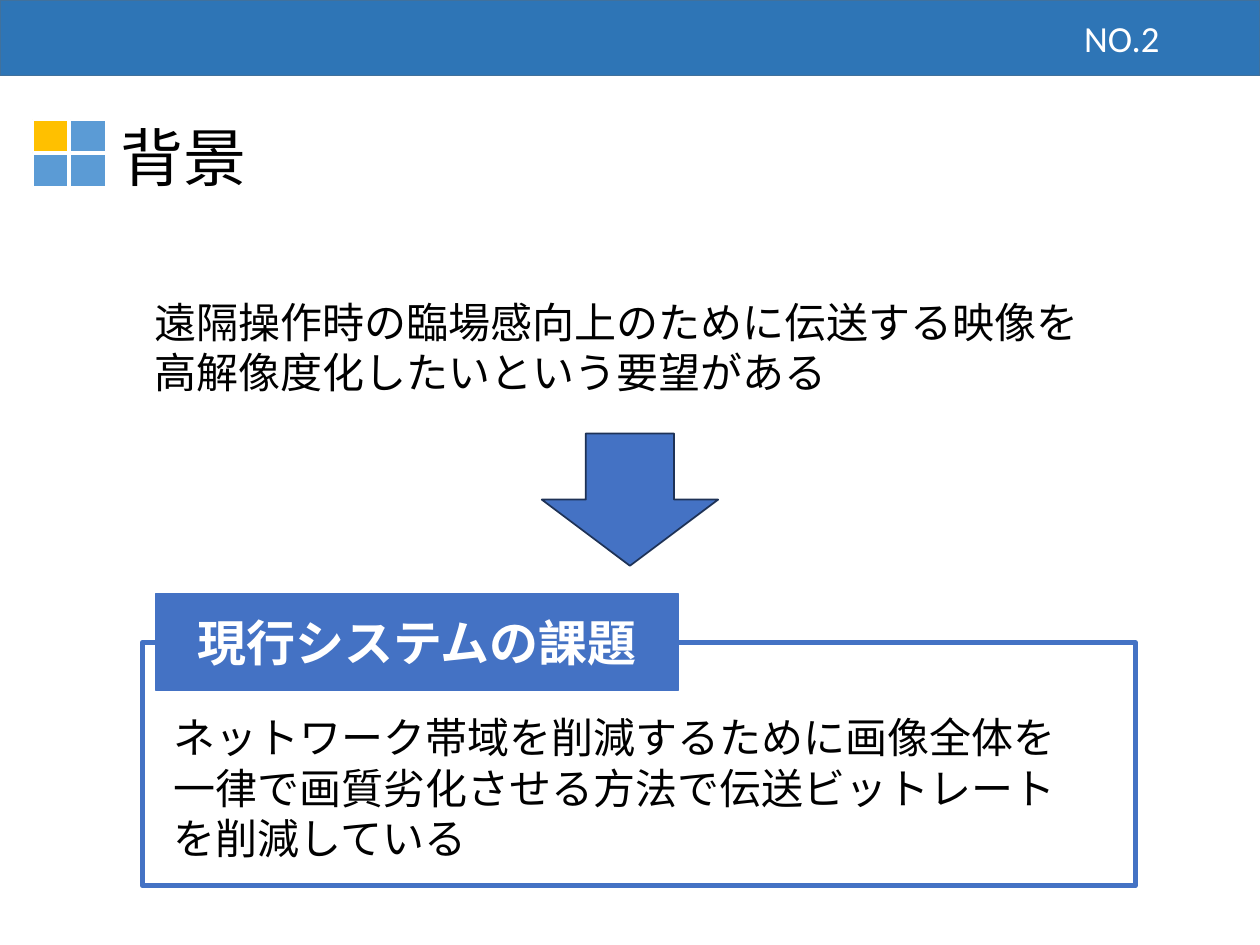
from collections import namedtuple
from dataclasses import dataclass
from pptx import Presentation
from pptx.dml.color import RGBColor as Rgb
from pptx.enum.shapes import MSO_SHAPE as Form
from pptx.enum.text import MSO_ANCHOR as Anchor, PP_ALIGN as Align
from pptx.util import Pt

SCALE = 9144
Box = namedtuple("Box", "x y w h")


@dataclass(frozen=True)
class Theme:
    band: str = "2E75B6"
    edge: str = "41719C"
    gold: str = "FFC000"
    tile: str = "5B9BD5"
    blue: str = "4472C4"
    navy: str = "1E3256"
    white: str = "FFFFFF"
    black: str = "000000"
    latin: str = "Calibri"
    sans: str = "Arial"
    title: int = 36
    label: int = 28
    body: int = 24
    number: int = 21


THEME = Theme()


def place(box, x, y, w, h):
    return Box(box.x + x, box.y + y, w, h)


def emu(box):
    return [side * SCALE for side in box]


def draw(slide, form, box, fill, line, width=1):
    shape = slide.shapes.add_shape(form, *emu(box))
    shape.shadow.inherit = False
    shape.fill.solid()
    shape.fill.fore_color.rgb = Rgb.from_string(fill)
    shape.line.color.rgb = Rgb.from_string(line)
    shape.line.width = Pt(width)
    return shape


def write(shape, text, size, face, color, align=Align.LEFT,
          anchor=Anchor.TOP, bold=False, wrap=True):
    frame = shape.text_frame
    frame.word_wrap = wrap
    frame.vertical_anchor = anchor
    line = frame.paragraphs[0]
    line.text = text
    line.alignment = align
    font = line.font
    font.size, font.name, font.bold = Pt(size), face, bold
    font.color.rgb = Rgb.from_string(color)


def label(slide, box, *args, **style):
    write(slide.shapes.add_textbox(*emu(box)), *args, **style)


def header(slide, box, text):
    draw(slide, Form.RECTANGLE, box, THEME.band, THEME.edge)
    label(slide, place(box, 799, 5, 131, 50), text, THEME.number, THEME.latin,
          THEME.white, align=Align.RIGHT, anchor=Anchor.MIDDLE)


def heading(slide, box, text):
    for row in range(2):
        for col in range(2):
            fill = THEME.tile if row or col else THEME.gold
            tile = place(box, col * 30, 6 + row * 27, 28, 26)
            draw(slide, Form.RECTANGLE, tile, fill, THEME.white)
    label(slide, place(box, 60, 0, box.w - 60, box.h), text, THEME.title,
          THEME.latin, THEME.black, wrap=False)


def demand(slide, box, text):
    label(slide, place(box, 0, 0, box.w, 91), text,
          THEME.body, THEME.sans, THEME.black)
    draw(slide, Form.DOWN_ARROW, place(box, 317, 114, 140, 105),
         THEME.blue, THEME.navy)


def issue(slide, box, name, text):
    draw(slide, Form.RECTANGLE, place(box, 0, 39, box.w, box.h - 39),
         THEME.white, THEME.blue, 3)
    tab = draw(slide, Form.RECTANGLE, place(box, 11, 0, 414, 77),
               THEME.blue, THEME.blue)
    write(tab, name, THEME.label, THEME.sans, THEME.white,
          align=Align.CENTER, anchor=Anchor.MIDDLE, bold=True)
    label(slide, place(box, 15, 89, 731, 131), text,
          THEME.body, THEME.sans, THEME.black)


def main():
    deck = Presentation()
    deck.slide_width, deck.slide_height = 1000 * SCALE, 750 * SCALE
    slide = deck.slides.add_slide(deck.slide_layouts[6])
    header(slide, Box(0, 0, 1000, 60), "NO.2")
    heading(slide, Box(26, 89, 181, 71), "背景")
    demand(slide, Box(113, 230, 773, 219),
           "遠隔操作時の臨場感向上のために伝送する映像を"
           "高解像度化したいという要望がある")
    issue(slide, Box(113, 471, 788, 232), "現行システムの課題",
          "ネットワーク帯域を削減するために画像全体を"
          "一律で画質劣化させる方法で伝送ビットレートを削減している")
    deck.save("out.pptx")


if __name__ == "__main__":
    main()
